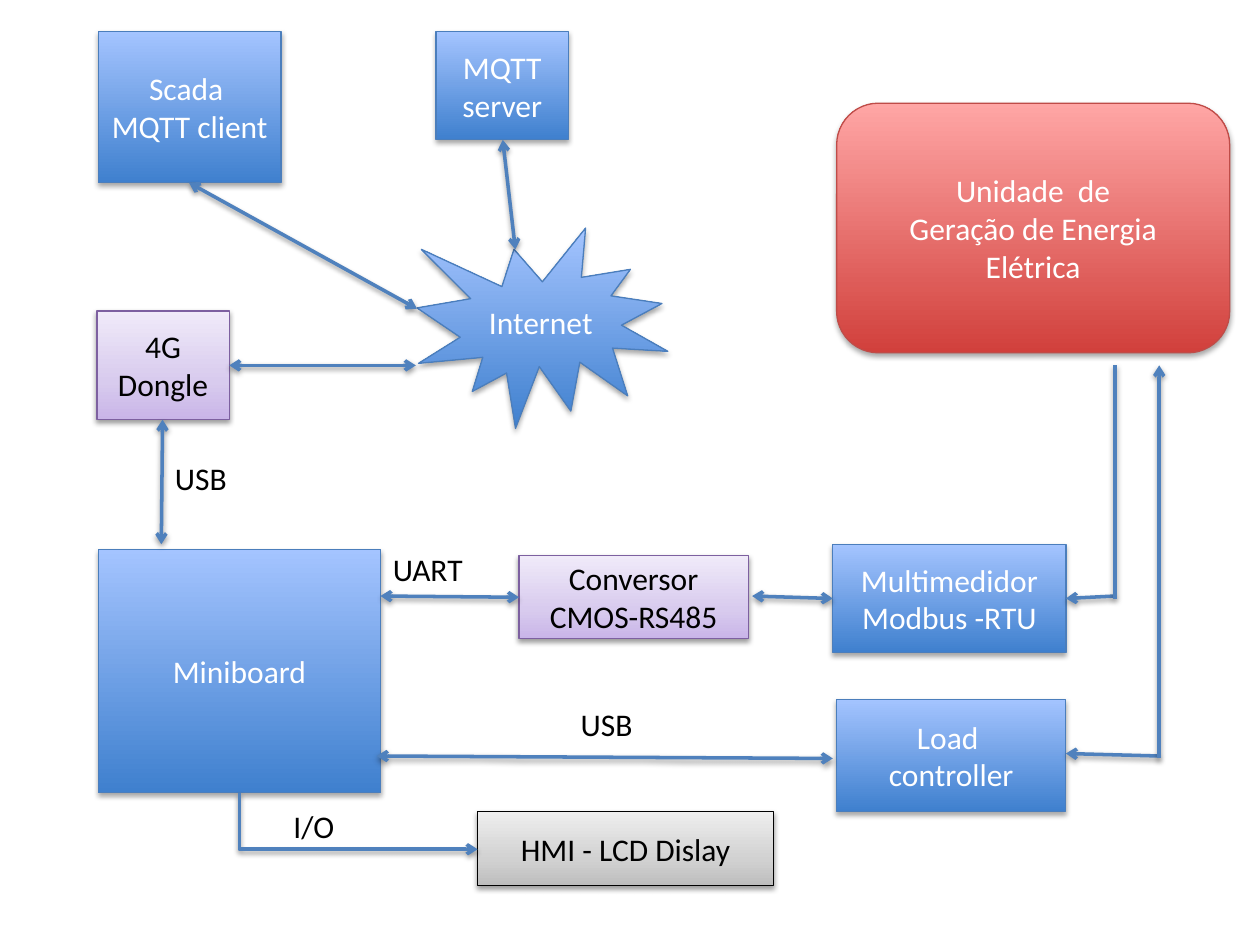
from pptx import Presentation
from pptx.dml.color import RGBColor
from pptx.enum.shapes import MSO_CONNECTOR, MSO_SHAPE
from pptx.enum.text import MSO_ANCHOR, MSO_AUTO_SIZE, PP_ALIGN
from pptx.oxml import parse_xml
from pptx.oxml.ns import nsdecls, qn
from pptx.util import Pt

RECT = MSO_SHAPE.RECTANGLE
ROUNDED = MSO_SHAPE.ROUNDED_RECTANGLE
BURST = MSO_SHAPE.EXPLOSION1
STRAIGHT = MSO_CONNECTOR.STRAIGHT
ELBOW = MSO_CONNECTOR.ELBOW
CENTER = PP_ALIGN.CENTER
MIDDLE = MSO_ANCHOR.MIDDLE
FIT = MSO_AUTO_SIZE.SHAPE_TO_FIT_TEXT

FONT = "Calibri"
COLORS = {"white": "FFFFFF", "black": "000000", "arrow": "4F81BD"}
# Gradient stops run from the bottom edge to the top edge.
STYLES = {
    "blue": {"stops": [(0, "3F80CE"), (100, "A4C4FF")], "line": "4B7EBC", "text": "white"},
    "red": {"stops": [(0, "D1403C"), (100, "FFA6A5")], "line": "BF4C48", "text": "white"},
    "purple": {"stops": [(0, "C9B5E8"), (35, "D8CBEE"), (100, "F0EAF9")],
               "line": "7D60A0", "text": "black"},
    "gray": {"stops": [(0, "BDBDBD"), (35, "D1D1D1"), (100, "EEEEEE")],
             "line": "000000", "text": "black"},
}

# text, style, geometry, (left, top, width, height)
BOXES = [
    ("MQTT\nserver", "blue", RECT, (249.2, 18, 75.6, 61.9)),
    ("Conversor CMOS-RS485", "purple", RECT, (296.6, 317.5, 131, 47.5)),
    ("Scada \nMQTT client", "blue", RECT, (56.2, 18, 104.4, 86.4)),
    ("Internet", "blue", BURST, (238.3, 130.3, 143.3, 114.5)),
    ("Multimedidor\nModbus -RTU", "blue", RECT, (475.9, 311, 133.2, 61.9)),
    ("Miniboard", "blue", RECT, (56.2, 313.9, 161.3, 139)),
    ("4G Dongle", "purple", RECT, (55.4, 177.8, 75.6, 61.9)),
    ("Load \ncontroller", "blue", RECT, (478.1, 399.6, 131, 64.1)),
    ("Unidade  de\nGeração de Energia Elétrica", "red", ROUNDED, (478.1, 59, 224.6, 142.6)),
    ("HMI - LCD Dislay", "gray", RECT, (272.9, 463.7, 169.2, 42.5)),
]
# start, end, arrowhead at start, arrowhead at end
LINKS = [
    ((287.3, 79.9), (294.5, 142.6), True, True),
    ((108, 104.4), (238.3, 176.4), True, True),
    ((131, 208.8), (237.6, 208.8), True, True),
    ((92.9, 239.8), (92.2, 311), True, True),
    ((296.6, 341.3), (217.4, 340.6), True, True),
    ((475.9, 342), (429.8, 340.6), True, True),
    ((475.9, 433.4), (215.3, 432), True, True),
    ((637.2, 340.6), (609.1, 342), False, True),
    ((637.2, 342), (637.2, 208.8), False, False),
    ((662.4, 432), (609.1, 430.6), False, True),
    ((662.4, 433.4), (662.4, 208.8), False, True),
]
LABELS = [
    ("USB", (324.7, 399.6, 44.6, 28.8)),
    ("USB", (92.9, 258.5, 44.6, 28.8)),
    ("UART", (217.4, 311, 69.1, 28.8)),
    ("I/O", (160.6, 457.9, 40.3, 28.8)),
]


def add_shadow(item, opacity, distance):
    """Put a soft shadow straight below a shape or connector."""
    item._element.spPr.append(parse_xml(
        f'<a:effectLst {nsdecls("a")}><a:outerShdw blurRad="{Pt(3.1)}" dist="{Pt(distance)}" '
        f'dir="5400000" rotWithShape="0"><a:srgbClr val="000000">'
        f'<a:alpha val="{opacity * 1000}"/></a:srgbClr></a:outerShdw></a:effectLst>'))


def fill_gradient(shape, stops):
    """Fill a shape with a vertical gradient."""
    shape.fill.gradient()
    shape.fill.gradient_angle = 90
    stop_list = shape._element.spPr.find(qn("a:gradFill")).find(qn("a:gsLst"))
    for stop in list(stop_list):
        stop_list.remove(stop)
    for position, color in stops:
        stop_list.append(parse_xml(
            f'<a:gs {nsdecls("a")} pos="{position * 1000}"><a:srgbClr val="{color}"/></a:gs>'))


def write_text(frame, text, color, align=None):
    """Write one paragraph per line of text."""
    frame.text = text
    for para in frame.paragraphs:
        para.alignment = align
        para.font.name = FONT
        para.font.size = Pt(18)
        para.font.color.rgb = RGBColor.from_string(COLORS[color])


def add_box(page, text, style_name, geometry, place):
    """Add a gradient shape with centred text."""
    style = STYLES[style_name]
    box = page.shapes.add_shape(geometry, *map(Pt, place))
    fill_gradient(box, style["stops"])
    box.line.color.rgb = RGBColor.from_string(style["line"])
    box.line.width = Pt(0.75)
    if style["text"] == "white":
        add_shadow(box, 35, 1.8)
    else:
        add_shadow(box, 38, 1.6)
    box.text_frame.word_wrap = True
    box.text_frame.vertical_anchor = MIDDLE
    write_text(box.text_frame, text, style["text"], CENTER)


def add_link(page, start, end, start_head, end_head, kind=STRAIGHT):
    """Add a connector with optional arrowheads."""
    link = page.shapes.add_connector(kind, *map(Pt, start + end))
    link.line.color.rgb = RGBColor.from_string(COLORS["arrow"])
    link.line.width = Pt(2)
    for tag, wanted in (("headEnd", start_head), ("tailEnd", end_head)):
        if wanted:
            link.line._ln.append(parse_xml(f'<a:{tag} {nsdecls("a")} type="arrow"/>'))
    add_shadow(link, 38, 1.6)
    return link


def add_corner_link(page, start, end):
    """Add an arrow that runs down, then right, with one corner."""
    across, down = end[0] - start[0], end[1] - start[1]
    middle_x, middle_y = (start[0] + end[0]) / 2, (start[1] + end[1]) / 2
    corner = (middle_x - down / 2, middle_y - across / 2)
    opposite = (middle_x + down / 2, middle_y + across / 2)
    link = add_link(page, corner, opposite, False, True, ELBOW)
    properties = link._element.spPr
    properties.find(qn("a:prstGeom")).set("prst", "bentConnector2")
    transform = properties.find(qn("a:xfrm"))
    transform.set("rot", "16200000")
    transform.set("flipH", "1")


def add_label(page, text, place):
    """Add a plain label beside a connector."""
    label = page.shapes.add_textbox(*map(Pt, place))
    label.text_frame.word_wrap = False
    label.text_frame.auto_size = FIT
    write_text(label.text_frame, text, "black")


def main():
    """Build the system diagram and save it."""
    deck = Presentation()
    deck.slide_width, deck.slide_height = Pt(720), Pt(540)
    page = deck.slides.add_slide(deck.slide_layouts[6])
    for box in BOXES:
        add_box(page, *box)
    for link in LINKS:
        add_link(page, *link)
    add_corner_link(page, (136.8, 452.9), (272.9, 485.3))
    for label in LABELS:
        add_label(page, *label)
    deck.save("out.pptx")


main()
